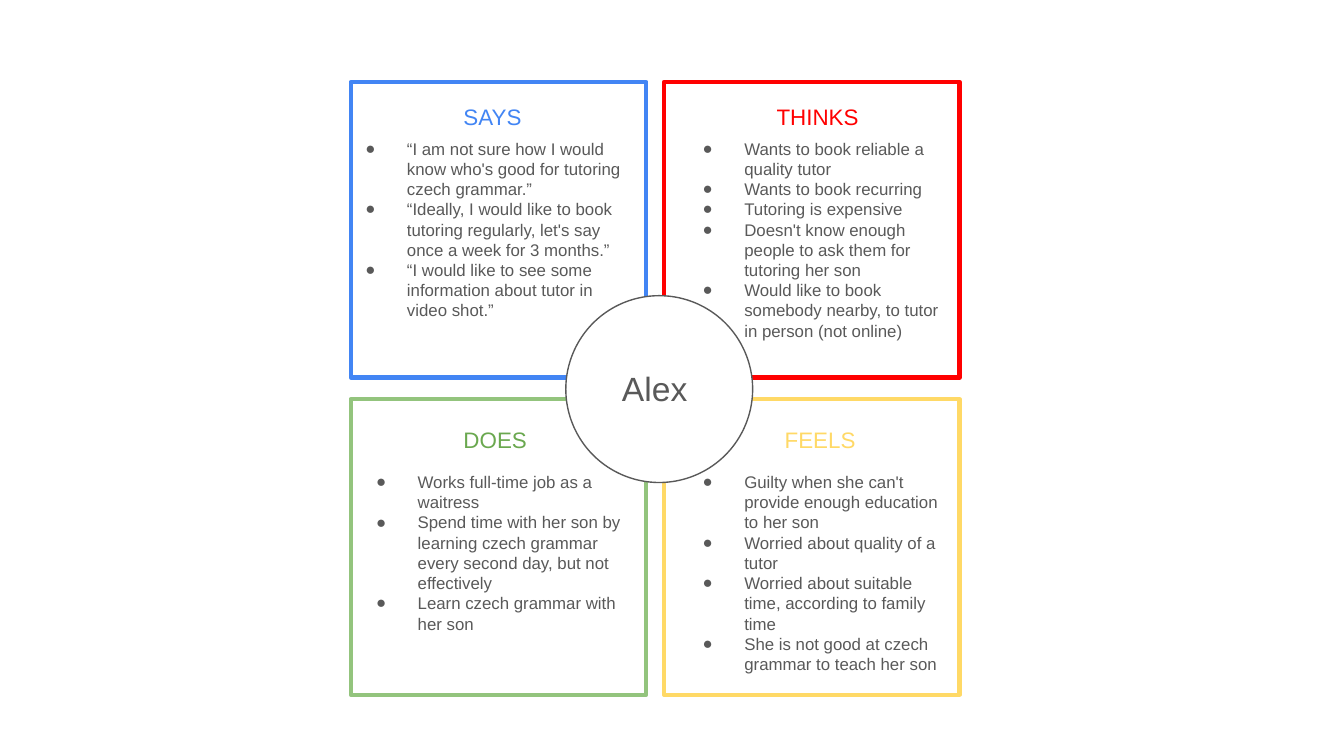
"""Build an empathy map: four framed quadrants around the persona's name."""
from lxml.etree import SubElement
from pptx import Presentation
from pptx.dml.color import RGBColor
from pptx.enum.shapes import MSO_SHAPE as Shape
from pptx.enum.text import MSO_AUTO_SIZE as AutoSize
from pptx.oxml.ns import qn
from pptx.util import Inches, Pt

BLUE = RGBColor(0x42, 0x85, 0xF4)
RED = RGBColor(0xFF, 0x00, 0x00)
LIGHT_GREEN = RGBColor(0x93, 0xC4, 0x7D)
GREEN = RGBColor(0x6A, 0xA8, 0x4F)
YELLOW = RGBColor(0xFF, 0xD9, 0x66)
GRAY = RGBColor(0x59, 0x59, 0x59)
WHITE = RGBColor(0xFF, 0xFF, 0xFF)

FONT = "Arial"
WIDTH = Inches(10)
HEIGHT = WIDTH * 9 // 16
COLUMNS = (2.61, 4.94)
ROWS = (0.61, 2.97)
SIDE = 2.2
TITLE_TOPS = (0.67, 3.07)
LIST_TOPS = (0.93, 3.41)

QUADRANTS = (
    (0, 0, BLUE, "SAYS", BLUE, (3.35, 0.72), (2.43, 2.3, 1.57), (
        "“I am not sure how I would know who's good for tutoring czech grammar.”",
        "“Ideally, I would like to book tutoring regularly, let's say once a week for 3 months.”",
        "“I would like to see some information about tutor in video shot.”",
    )),
    (1, 0, RED, "THINKS", RED, (5.68, 0.93), (4.94, 2.2, 1.72), (
        "Wants to book reliable a quality tutor",
        "Wants to book recurring",
        "Tutoring is expensive",
        "Doesn't know enough people to ask them for tutoring her son",
        "Would like to book somebody nearby, to tutor in person (not online)",
    )),
    (0, 1, LIGHT_GREEN, "DOES", GREEN, (3.35, 0.72), (2.51, 2.3, 1.41), (
        "Works full-time job as a waitress",
        "Spend time with her son by learning czech grammar every second day, but not effectively",
        "Learn czech grammar with her son",
    )),
    (1, 1, YELLOW, "FEELS", YELLOW, (5.74, 0.84), (4.94, 2.2, 1.72), (
        "Guilty when she can't provide enough education to her son",
        "Worried about quality of a tutor",
        "Worried about suitable time, according to family time",
        "She is not good at czech grammar to teach her son",
    )),
)


def add_outline(slide, kind, left, top, side, color, weight):
    """Add an unfilled outlined shape of equal width and height."""
    shape = slide.shapes.add_shape(kind, *map(Inches, (left, top, side, side)))
    shape.shadow.inherit = False
    shape.fill.background()
    shape.line.color.rgb = color
    shape.line.width = Pt(weight)
    return shape


def add_bullet(paragraph, size):
    """Give a paragraph a hanging round bullet."""
    properties = paragraph._p.get_or_add_pPr()
    properties.set("marL", str(Inches(0.5)))
    properties.set("indent", str(Inches(-0.31)))
    color = SubElement(properties, qn("a:buClr"))
    SubElement(color, qn("a:srgbClr"), val=str(GRAY))
    SubElement(properties, qn("a:buSzPts"), val=str(size * 100))
    SubElement(properties, qn("a:buFont"), typeface=FONT)
    SubElement(properties, qn("a:buChar"), char="●")


def add_text(slide, box, lines, size, color, bulleted=False):
    """Add a text box with one paragraph per line."""
    frame = slide.shapes.add_textbox(*map(Inches, box)).text_frame
    frame.word_wrap = True
    frame.auto_size = AutoSize.SHAPE_TO_FIT_TEXT
    frame.margin_left = frame.margin_right = Inches(0.1)
    frame.margin_top = frame.margin_bottom = Inches(0.1)
    frame.text = "\n".join(lines)
    for paragraph in frame.paragraphs:
        paragraph.font.name = FONT
        paragraph.font.size = Pt(size)
        paragraph.font.color.rgb = color
        if bulleted:
            add_bullet(paragraph, size)


def add_persona(slide, name):
    """Add the central circle with the persona's name."""
    circle = add_outline(slide, Shape.OVAL, 4.21, 2.2, 1.39, GRAY, 0.75)
    circle.fill.solid()
    circle.fill.fore_color.rgb = WHITE
    add_text(slide, (4.53, 2.64, 0.93, 0.5), [name], 18, GRAY)


def main():
    """Build and save the slide."""
    presentation = Presentation()
    presentation.slide_width = WIDTH
    presentation.slide_height = HEIGHT
    slide = presentation.slides.add_slide(presentation.slide_layouts[6])
    for column, row, color, *_ in QUADRANTS:
        add_outline(slide, Shape.RECTANGLE, COLUMNS[column], ROWS[row], SIDE, color, 2.25)
    add_persona(slide, "Alex")
    for _, row, _, title, color, title_span, list_size, items in QUADRANTS:
        left, width = title_span
        add_text(slide, (left, TITLE_TOPS[row], width, 0.4), [title], 12, color)
        left, width, height = list_size
        add_text(slide, (left, LIST_TOPS[row], width, height), items, 9, GRAY, bulleted=True)
    presentation.save("out.pptx")


if __name__ == "__main__":
    main()
